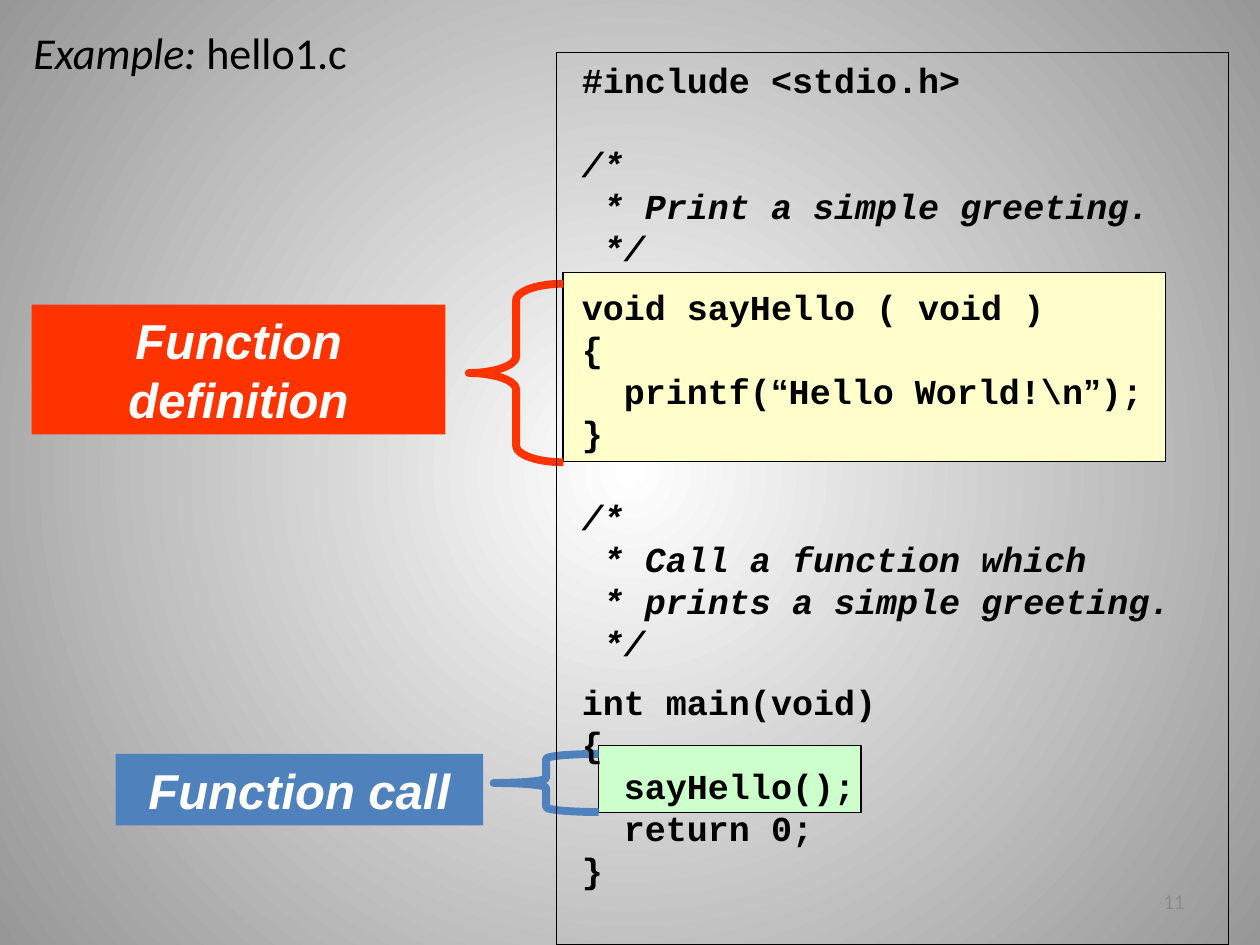
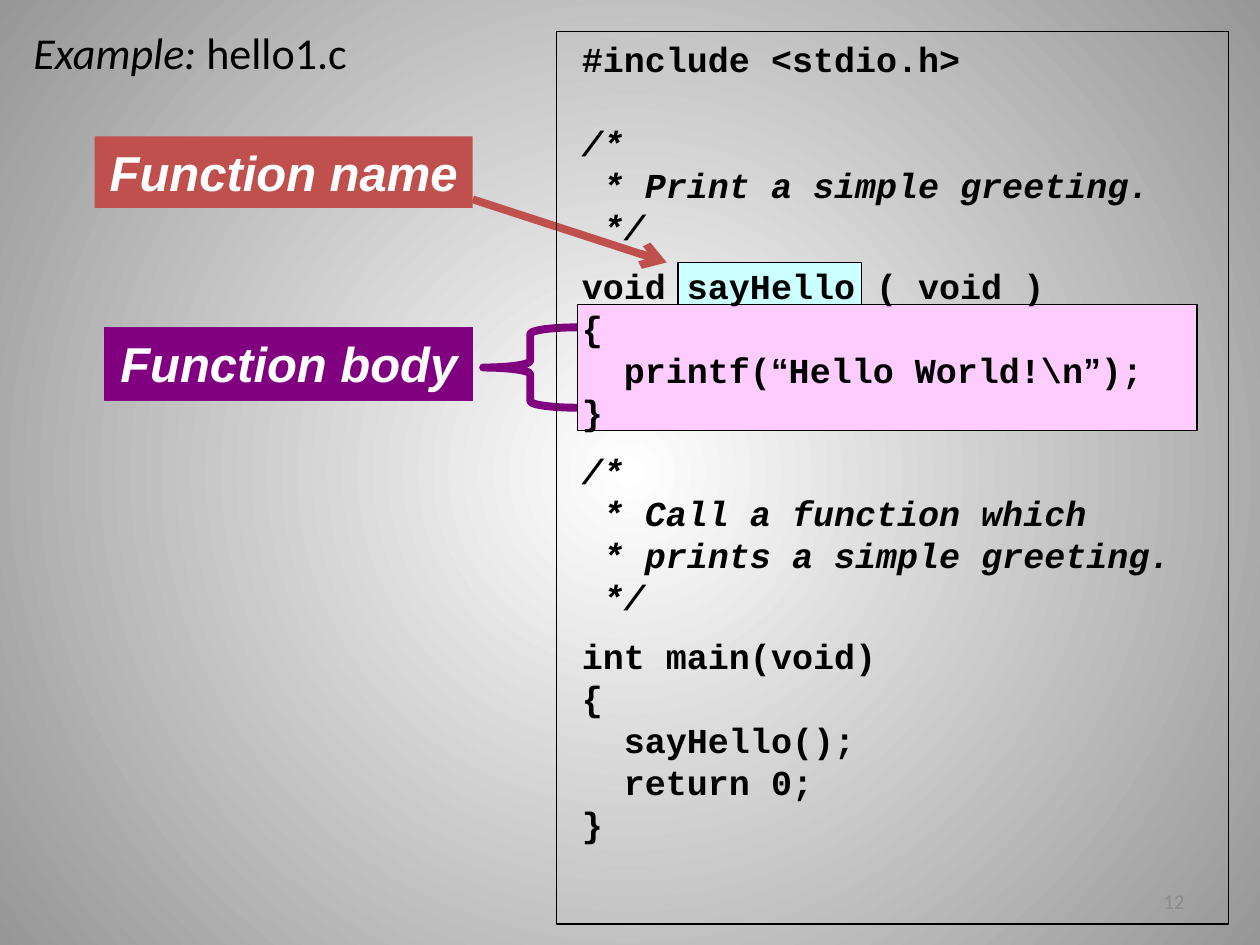
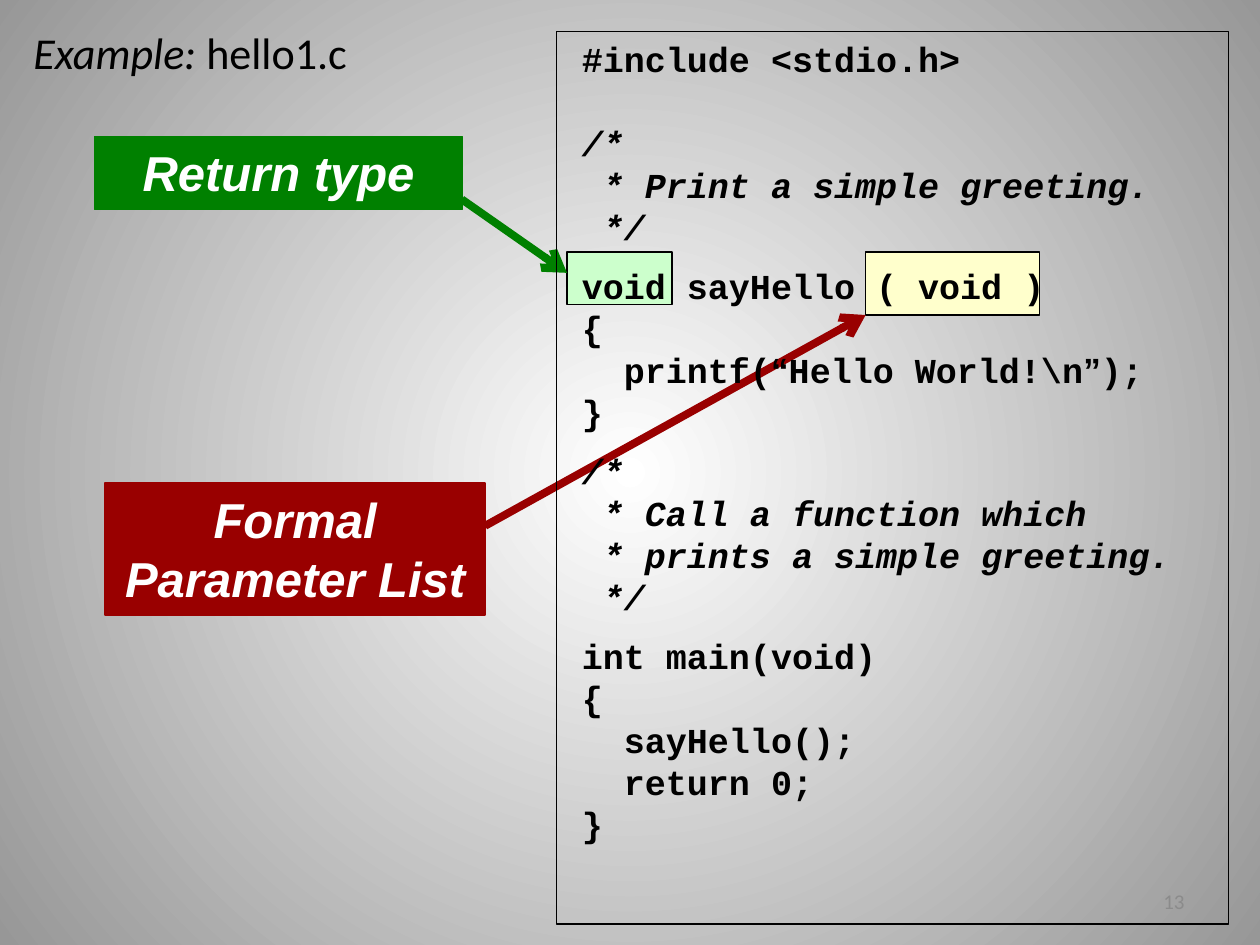
from lxml import etree
from pptx import Presentation
from pptx.dml.color import RGBColor
from pptx.enum.shapes import MSO_CONNECTOR as CONNECTOR, MSO_SHAPE as SHAPE
from pptx.enum.text import MSO_ANCHOR as ANCHOR, MSO_AUTO_SIZE as AUTO_SIZE, PP_ALIGN as ALIGN
from pptx.oxml import parse_xml
from pptx.oxml.ns import nsdecls, qn
from pptx.util import Cm, Pt

# Shared colours
BLACK, WHITE, GREY = "000000", "FFFFFF", "8B8B8B"
BLUE, RED, ORANGE = "4F81BD", "C0504D", "FF3300"
PURPLE, GREEN, MAROON = "800080", "008000", "990000"
PALE_YELLOW, PALE_GREEN = "FFFFCC", "CCFFCC"
PALE_CYAN, PALE_PINK = "CCFFFF", "FFCCFF"

# Shared text formats
TITLE = {"name": "Calibri", "size": Pt(25.2), "bold": False}
LABEL = {"name": "Arial", "size": Pt(28), "bold": True, "italic": True}
CODE = {"name": "Courier New", "size": Pt(20), "bold": True}
NUMBER = {"name": "Calibri", "size": Pt(12)}
LINE_FACTOR = 1.2
LINE_GAP, SMALL_GAP = 24, 9.6

# The program, one block of lines per part
INCLUDE = ["#include <stdio.h>"]
PRINT_COMMENT = ["/*", " * Print a simple greeting.", " */"]
SAY_HELLO = ["void sayHello ( void )", "{", "  printf(“Hello World!\\n”);", "}"]
CALL_COMMENT = ["/*", " * Call a function which", " * prints a simple greeting.", " */"]
MAIN = ["int main(void)", "{", "  sayHello();", "  return 0;", "}"]


def colour(value):
    return RGBColor.from_string(value)


class Deck:
    def __init__(self):
        self.presentation = Presentation()
        self.presentation.slide_width = Cm(25.4)
        self.presentation.slide_height = Cm(19.05)
        self.slide = None
        self.set_background()

    def set_background(self):
        """Give the master a radial gradient, white in the middle."""
        master = self.presentation.slide_master
        master.background.fill.gradient()
        linear = next(master.element.iter(qn("a:gradFill")))
        radial = parse_xml(
            f'<a:gradFill {nsdecls("a")} rotWithShape="1"><a:gsLst>'
            '<a:gs pos="0"><a:srgbClr val="FFFFFF"/></a:gs>'
            '<a:gs pos="100000"><a:srgbClr val="979797"/></a:gs></a:gsLst>'
            '<a:path path="circle"><a:fillToRect l="50000" t="50000" r="50000" b="50000"/>'
            '</a:path></a:gradFill>')
        linear.getparent().replace(linear, radial)

    def add_text(self, paragraph, text, font_format, text_colour, **changes):
        run = paragraph.add_run()
        run.text = text
        for name, value in {**font_format, **changes}.items():
            setattr(run.font, name, value)
        run.font.color.rgb = colour(text_colour)

    def set_line_height(self, paragraph, font_format):
        paragraph.line_spacing = Pt(font_format["size"].pt * LINE_FACTOR)

    def start_slide(self, number):
        self.slide = self.presentation.slides.add_slide(self.presentation.slide_layouts[5])
        # Title
        title = self.slide.shapes.title
        place = {"left": 0.42, "top": 0.42, "width": 8.47, "height": 1.27}
        for name, value in place.items():
            setattr(title, name, Cm(value))
        frame = title.text_frame
        frame.auto_size = AUTO_SIZE.NONE
        frame.vertical_anchor = ANCHOR.MIDDLE
        paragraph = frame.paragraphs[0]
        paragraph.alignment = ALIGN.LEFT
        self.add_text(paragraph, "Example: ", TITLE, BLACK, italic=True)
        self.add_text(paragraph, "hello1.c", TITLE, BLACK, italic=False)
        # Slide number
        box = self.slide.shapes.add_textbox(Cm(18.2), Cm(17.65), Cm(5.93), Cm(1.02))
        box.text_frame.word_wrap = True
        box.text_frame.vertical_anchor = ANCHOR.MIDDLE
        paragraph = box.text_frame.paragraphs[0]
        paragraph.alignment = ALIGN.RIGHT
        self.add_text(paragraph, str(number), NUMBER, GREY)

    def shape(self, kind, place, fill=None, line=None, width=0.75):
        shape = self.slide.shapes.add_shape(kind, *map(Cm, place))
        shape.shadow.inherit = False
        if fill:
            shape.fill.solid()
            shape.fill.fore_color.rgb = colour(fill)
        else:
            shape.fill.background()
        if line:
            shape.line.color.rgb = colour(line)
            shape.line.width = Pt(width)
        else:
            shape.line.fill.background()
        return shape

    def highlight(self, place, fill):
        self.shape(SHAPE.RECTANGLE, place, fill, BLACK)

    def brace(self, place, line, curve=0.083):
        brace = self.shape(SHAPE.LEFT_BRACE, place, line=line, width=4.5)
        brace.adjustments[0] = curve

    def label(self, text, place, fill, line=None):
        frame = self.shape(SHAPE.RECTANGLE, place, fill, line).text_frame
        frame.word_wrap = True
        frame.auto_size = AUTO_SIZE.SHAPE_TO_FIT_TEXT
        frame.vertical_anchor = ANCHOR.TOP
        paragraph = frame.paragraphs[0]
        paragraph.alignment = ALIGN.CENTER
        self.set_line_height(paragraph, LABEL)
        self.add_text(paragraph, text, LABEL, WHITE)

    def arrow(self, start, end, line):
        arrow = self.slide.shapes.add_connector(CONNECTOR.STRAIGHT, *map(Cm, start + end))
        arrow.line.color.rgb = colour(line)
        arrow.line.width = Pt(4.5)
        properties = arrow._element.spPr
        etree.SubElement(properties.get_or_add_ln(), qn("a:tailEnd"), type="arrow")
        etree.SubElement(properties, qn("a:effectLst"))

    def code(self, top, gap_after_function):
        frame = self.shape(SHAPE.RECTANGLE, (11.22, top, 13.55, 17.99), line=BLACK).text_frame
        frame.word_wrap = True
        frame.vertical_anchor = ANCHOR.TOP
        frame.margin_left = Cm(0.51)
        blocks = [(0, INCLUDE), (LINE_GAP, PRINT_COMMENT), (SMALL_GAP, SAY_HELLO),
                  (gap_after_function, CALL_COMMENT), (SMALL_GAP, MAIN)]
        for gap, lines in blocks:
            for index, text in enumerate(lines):
                first = lines is INCLUDE
                paragraph = frame.paragraphs[0] if first else frame.add_paragraph()
                paragraph.alignment = ALIGN.LEFT
                properties = paragraph._p.get_or_add_pPr()
                properties.set("marL", str(Cm(0.97)))
                properties.set("indent", str(-Cm(0.97)))
                self.set_line_height(paragraph, CODE)
                if gap and index == 0:
                    paragraph.space_before = Pt(gap)
                self.code_line(paragraph, text, italic=lines[0] == "/*")

    def code_line(self, paragraph, text, italic):
        """Add a line of code, with curly quotes in Arial."""
        marked = text.replace("“", "\t“\t").replace("”", "\t”\t")
        for part in marked.split("\t"):
            font_name = "Arial" if part in ("“", "”") else CODE["name"]
            self.add_text(paragraph, part, CODE, BLACK, name=font_name, italic=italic)


def main():
    deck = Deck()

    # Function definition and call
    deck.start_slide(11)
    deck.highlight((11.35, 5.5, 12.15, 3.81), PALE_YELLOW)
    deck.brace((9.45, 5.72, 1.91, 3.6), ORANGE, curve=0.177)
    deck.label("Function definition", (0.64, 6.14, 8.34, 2.62), ORANGE)
    deck.highlight((12.07, 15.03, 5.29, 1.35), PALE_GREEN)
    deck.brace((9.95, 15.2, 2.12, 1.17), BLUE)
    deck.label("Function call", (2.33, 15.2, 7.41, 1.44), BLUE)
    deck.code(1.06, LINE_GAP)

    # Function name and body
    deck.start_slide(12)
    deck.label("Function name", (1.91, 2.75, 7.62, 1.44), RED)
    deck.arrow((9.53, 4.02), (13.44, 5.29), RED)
    deck.highlight((13.67, 5.29, 3.7, 0.85), PALE_CYAN)
    deck.brace((9.74, 6.6, 1.9, 1.62), PURPLE)
    deck.label("Function body", (2.12, 6.6, 7.41, 1.48), PURPLE, PURPLE)
    deck.highlight((11.64, 6.14, 12.49, 2.54), PALE_PINK)
    deck.code(0.64, SMALL_GAP)

    # Return type and parameters
    deck.start_slide(13)
    deck.highlight((11.43, 5.08, 2.12, 1.06), PALE_GREEN)
    deck.label("Return type", (1.91, 2.75, 7.41, 1.48), GREEN, GREEN)
    deck.arrow((9.31, 4.02), (11.43, 5.5), GREEN)
    deck.highlight((17.45, 5.08, 3.51, 1.27), PALE_YELLOW)
    deck.label("Formal Parameter List", (2.12, 9.74, 7.66, 2.66), MAROON, MAROON)
    deck.arrow((9.78, 10.6), (17.45, 6.35), MAROON)
    deck.code(0.64, SMALL_GAP)

    deck.presentation.save("out.pptx")


if __name__ == "__main__":
    main()
